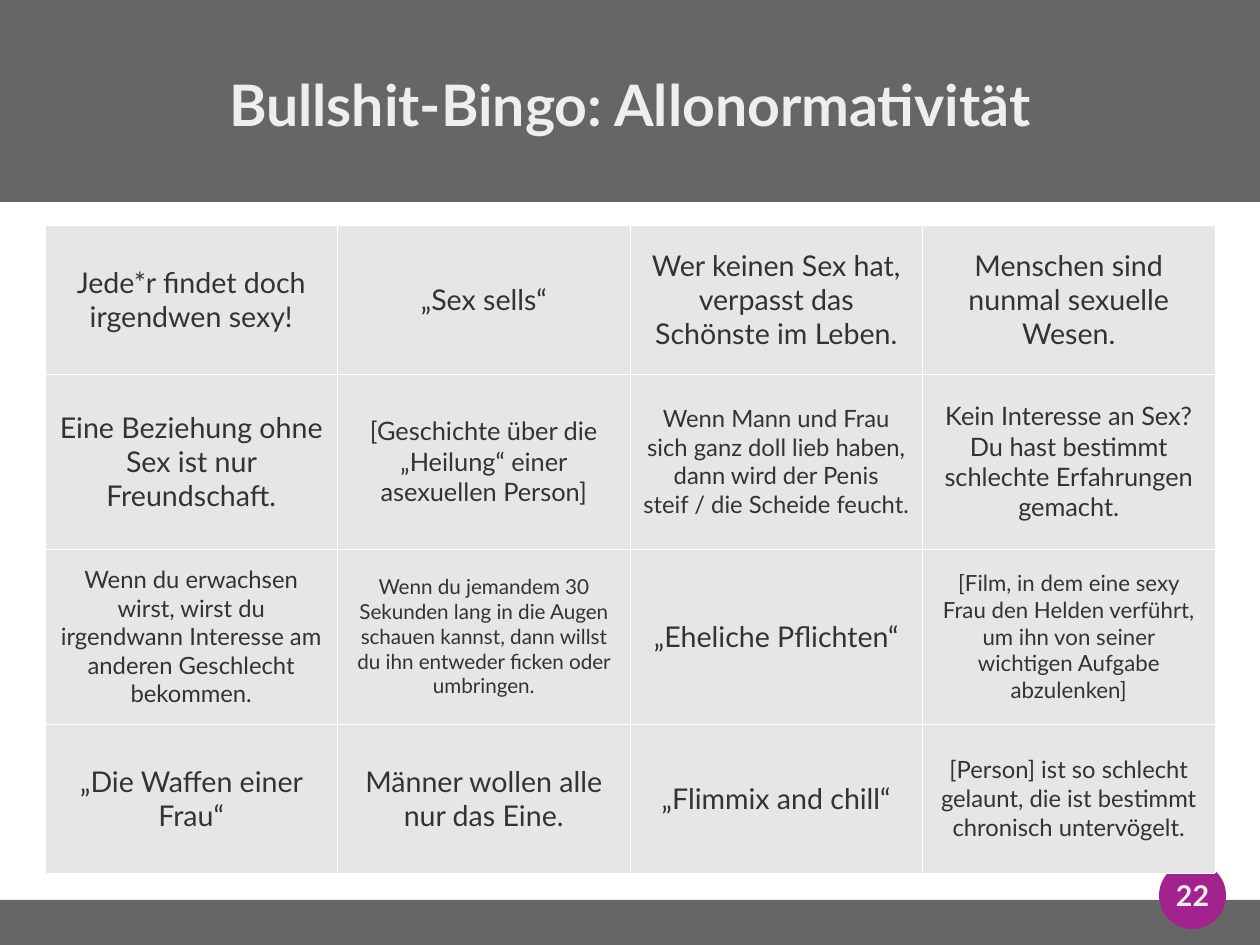
from dataclasses import dataclass

from lxml import etree
from pptx import Presentation
from pptx.dml.color import RGBColor
from pptx.enum.shapes import MSO_SHAPE
from pptx.enum.text import MSO_ANCHOR, MSO_AUTO_SIZE, PP_ALIGN
from pptx.oxml.ns import qn
from pptx.util import Emu, Pt

RECT, OVAL = MSO_SHAPE.RECTANGLE, MSO_SHAPE.OVAL
MIDDLE, CENTER = MSO_ANCHOR.MIDDLE, PP_ALIGN.CENTER
NO_FIT = MSO_AUTO_SIZE.NONE
TITLE_ONLY = 5
EMU_PER_PX = 8000


@dataclass(frozen=True)
class Theme:
    font: str = "Lato"
    band: str = "666666"
    badge: str = "A3238E"
    light: str = "EEEEEE"
    ink: str = "333333"
    cell: str = "E6E6E6"
    grid: str = "FFFFFF"
    title_size: int = 36
    badge_size: int = 18
    grid_line: float = 0.06


@dataclass(frozen=True)
class Box:
    left: int
    top: int
    width: int
    height: int

    def emu(self) -> list[Emu]:
        return [px(v) for v in (self.left, self.top, self.width, self.height)]


@dataclass(frozen=True)
class Field:
    text: str
    size: int = 18


THEME = Theme()
SLIDE_W, SLIDE_H = 1260, 945
TITLE_BOX = Box(45, 9, 1170, 189)
HEADER = Box(0, 0, SLIDE_W, 202)
FOOTER = Box(0, 900, SLIDE_W, 45)
BADGE = Box(1159, 862, 67, 67)
TABLE_BOX = Box(45, 225, 1170, 648)
ROW_HEIGHTS = (149, 175, 175, 149)

BINGO = (
    (
        Field("Jede*r findet doch irgendwen sexy!"),
        Field("„Sex sells“"),
        Field("Wer keinen Sex hat, verpasst das Schönste im Leben."),
        Field("Menschen sind nunmal sexuelle Wesen."),
    ),
    (
        Field("Eine Beziehung ohne Sex ist nur Freundschaft."),
        Field("[Geschichte über die „Heilung“ einer asexuellen Person]", 16),
        Field("Wenn Mann und Frau sich ganz doll lieb haben, dann wird der Penis "
              "steif / die Scheide feucht.", 15),
        Field("Kein Interesse an Sex? Du hast bestimmt schlechte Erfahrungen gemacht.", 16),
    ),
    (
        Field("Wenn du erwachsen wirst, wirst du irgendwann Interesse am anderen "
              "Geschlecht bekommen.", 15),
        Field("Wenn du jemandem 30 Sekunden lang in die Augen schauen kannst, dann "
              "willst du ihn entweder ficken oder umbringen.", 13),
        Field("„Eheliche Pflichten“"),
        Field("[Film, in dem eine sexy Frau den Helden verführt, um ihn von seiner "
              "wichtigen Aufgabe abzulenken]", 14),
    ),
    (
        Field("„Die Waffen einer Frau“"),
        Field("Männer wollen alle nur das Eine."),
        Field("„Flimmix and chill“"),
        Field("[Person] ist so schlecht gelaunt, die ist bestimmt chronisch untervögelt.", 15),
    ),
)


def px(value: int) -> Emu:
    return Emu(value * EMU_PER_PX)


def rgb(value: str) -> RGBColor:
    return RGBColor.from_string(value)


def add_run(tf, text: str, size: int, color: str, bold: bool = False) -> None:
    p = tf.paragraphs[0]
    p.alignment = CENTER
    r = p.add_run()
    r.text = text
    r.font.name = THEME.font
    r.font.size = Pt(size)
    r.font.bold = bold
    r.font.color.rgb = rgb(color)


def center_frame(tf) -> None:
    tf.margin_left = tf.margin_right = tf.margin_top = tf.margin_bottom = 0
    tf.vertical_anchor = MIDDLE
    tf.word_wrap = True
    tf.auto_size = NO_FIT


def add_block(s, kind, box: Box, color: str):
    sp = s.shapes.add_shape(kind, *box.emu())
    sp.shadow.inherit = False
    sp.fill.solid()
    sp.fill.fore_color.rgb = rgb(color)
    sp.line.fill.background()
    return sp


def set_borders(cell) -> None:
    tc_pr = cell._tc.get_or_add_tcPr()
    for side in ("a:lnL", "a:lnR", "a:lnT", "a:lnB"):
        ln = etree.SubElement(tc_pr, qn(side), w=str(Pt(THEME.grid_line)))
        fill = etree.SubElement(ln, qn("a:solidFill"))
        etree.SubElement(fill, qn("a:srgbClr"), val=THEME.grid)


def add_bingo(s) -> None:
    table = s.shapes.add_table(len(BINGO), len(BINGO[0]), *TABLE_BOX.emu()).table
    table.first_row = table.horz_banding = False
    for row, height, fields in zip(table.rows, ROW_HEIGHTS, BINGO):
        row.height = px(height)
        for cell, field in zip(row.cells, fields):
            set_borders(cell)
            cell.fill.solid()
            cell.fill.fore_color.rgb = rgb(THEME.cell)
            cell.vertical_anchor = MIDDLE
            add_run(cell.text_frame, field.text, field.size, THEME.ink)


def main() -> None:
    prs = Presentation()
    prs.slide_width, prs.slide_height = px(SLIDE_W), px(SLIDE_H)
    s = prs.slides.add_slide(prs.slide_layouts[TITLE_ONLY])

    # Bands and page number
    for band in (FOOTER, HEADER):
        add_block(s, RECT, band, THEME.band)
    badge = add_block(s, OVAL, BADGE, THEME.badge)
    center_frame(badge.text_frame)
    add_run(badge.text_frame, "22", THEME.badge_size, THEME.light, bold=True)

    # Title, raised above the header band
    title = s.shapes.title
    title.left, title.top, title.width, title.height = TITLE_BOX.emu()
    center_frame(title.text_frame)
    add_run(title.text_frame, "Bullshit-Bingo: Allonormativität",
            THEME.title_size, THEME.light, bold=True)
    s.shapes._spTree.append(title._element)

    # Bingo card
    add_bingo(s)
    prs.save("out.pptx")


if __name__ == "__main__":
    main()
